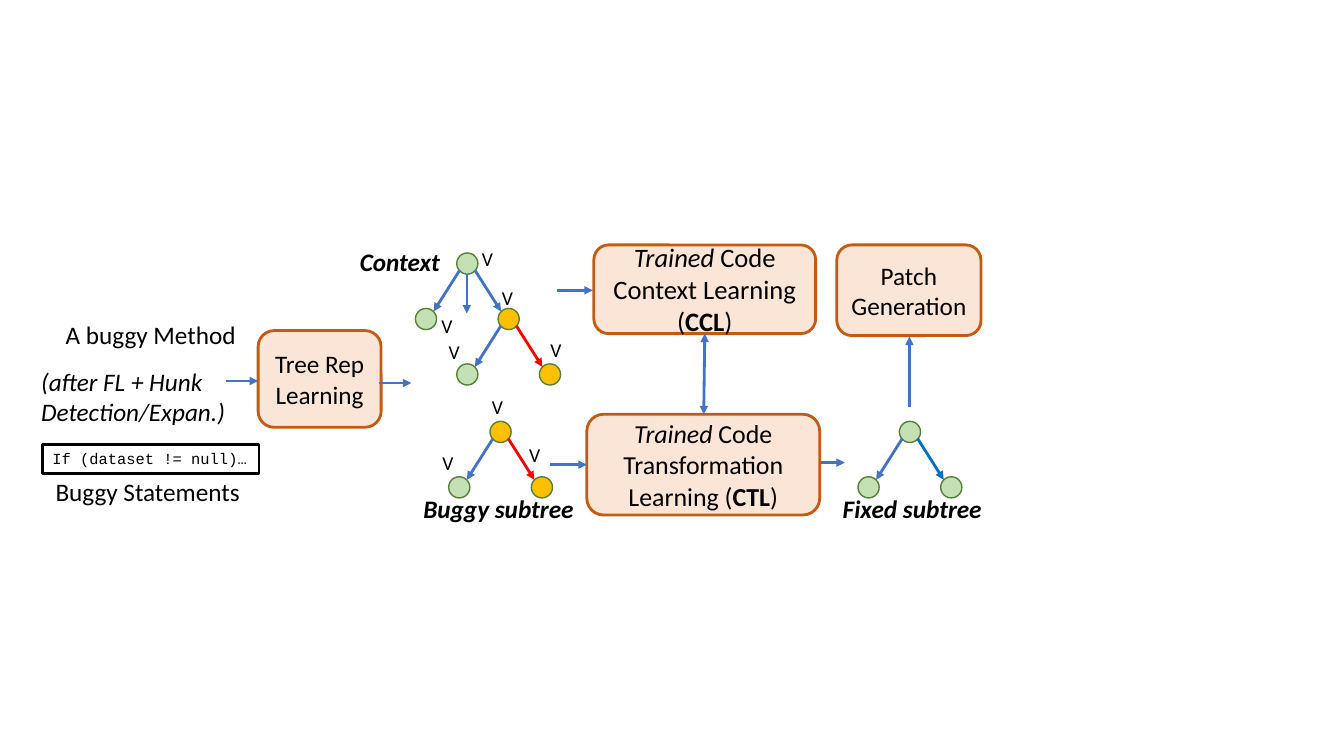
from pptx import Presentation
from pptx import util as u
from pptx.dml import color
from pptx.enum import shapes, text
from pptx.oxml import ns
from lxml import etree

BLUE, RED, BLACK = "4472C4", "FF0000", "000000"
GREEN, GOLD = "C5E0B4", "FFC000"
KIND = shapes.MSO_SHAPE
LEFT, MID = text.PP_ALIGN.LEFT, text.PP_ALIGN.CENTER


def paint(fmt, hue):
    """Set a solid colour on a fill."""
    fmt.solid()
    fmt.fore_color.rgb = color.RGBColor.from_string(hue)


def write(shape, paras, size, align=LEFT, font="Calibri"):
    """Fill a shape with paragraphs, each a list of (words, style) runs."""
    frame = shape.text_frame
    frame.word_wrap = True
    for i, runs in enumerate(paras):
        para = frame.add_paragraph() if i else frame.paragraphs[0]
        para.alignment = align
        for words, style in runs:
            run = para.add_run()
            run.text = words
            run.font.name, run.font.size = font, u.Pt(size)
            run.font.bold, run.font.italic = "b" in style, "i" in style
            paint(run.font.fill, BLACK)


def label(slide, area, lines, style="", size=18, align=LEFT):
    """Add a text box with one style for all its lines."""
    box = slide.shapes.add_textbox(*map(u.Inches, area))
    write(box, [[(line, style)] for line in lines], size, align)


def form(slide, kind, area, fill, edge, width):
    """Add a preset shape without a shadow."""
    shape = slide.shapes.add_shape(kind, *map(u.Inches, area))
    shape.shadow.inherit = False
    if fill:
        paint(shape.fill, fill)
    else:
        shape.fill.background()
    paint(shape.line.fill, edge)
    shape.line.width = u.Pt(width)
    return shape


def stage(slide, area, paras, size=18):
    """Add a rounded box for one processing stage."""
    box = form(slide, KIND.ROUNDED_RECTANGLE, area, "FBE5D6", "C55A11", 2)
    box.text_frame.vertical_anchor = text.MSO_ANCHOR.MIDDLE
    write(box, paras, size, MID)


def arrow(slide, x1, y1, x2, y2, hue=BLUE, width=2, ends=("tailEnd",)):
    """Add a straight arrow."""
    ends_at = map(u.Inches, (x1, y1, x2, y2))
    line = slide.shapes.add_connector(shapes.MSO_CONNECTOR.STRAIGHT, *ends_at)
    paint(line.line.fill, hue)
    line.line.width = u.Pt(width)
    props = line.line._get_or_add_ln()
    for end in ends:
        etree.SubElement(props, ns.qn("a:" + end), type="triangle")
    etree.SubElement(line._element.spPr, ns.qn("a:effectLst"))


def node(slide, x, y, fill):
    """Add a tree node."""
    form(slide, KIND.OVAL, (x, y, 0.21, 0.21), fill, "548235", 1)


def branch(slide, x, y, right, hue):
    """Add two children and their edges below the node at x, y."""
    node(slide, x - 0.41, y + 0.55, GREEN)
    node(slide, x + 0.41, y + 0.55, right)
    arrow(slide, x + 0.03, y + 0.17, x - 0.23, y + 0.58)
    arrow(slide, x + 0.18, y + 0.17, x + 0.44, y + 0.58, hue)


def main():
    """Build the slide."""
    deck = Presentation()
    deck.slide_width, deck.slide_height = u.Inches(13.33), u.Inches(7.5)
    slide = deck.slides.add_slide(deck.slide_layouts[6])

    for x, y, fill, right, hue in (
        (4.86, 4.18, GOLD, GOLD, RED),
        (4.53, 2.51, GREEN, GOLD, BLUE),
        (8.92, 4.18, GREEN, GREEN, "0070C0"),
    ):
        node(slide, x, y, fill)
        branch(slide, x, y, right, hue)
    branch(slide, 4.94, 3.06, GOLD, RED)
    arrow(slide, 4.63, 2.72, 4.63, 3.11, width=1)

    stage(slide, (2.56, 3.28, 1.22, 0.96), [[("Tree Rep Learning", "")]])
    stage(slide, (8.3, 2.43, 1.43, 0.9), [[("Patch Generation", "")]])
    stage(slide, (5.89, 2.43, 2.2, 0.88), [
        [("Trained", "i"), (" Code Context Learning", "")],
        [("(", ""), ("CCL", "b"), (")", "")],
    ], 19)
    stage(slide, (5.82, 4.11, 2.31, 1), [
        [("Trained", "i"), (" Code Transformation Learning (", ""),
         ("CTL", "b"), (")", "")],
    ], 18.5)

    for ends in (
        (2.24, 3.78, 2.56, 3.78),
        (3.76, 3.8, 4.08, 3.8),
        (5.52, 2.88, 5.88, 2.88),
        (5.46, 4.61, 5.82, 4.61),
        (8.14, 4.59, 8.38, 4.59),
        (9.02, 4.04, 9.02, 3.34),
    ):
        arrow(slide, *ends)
    arrow(slide, 6.99, 3.31, 6.98, 4.11, ends=("headEnd", "tailEnd"))

    label(slide, (0.34, 3.12, 2.31, 0.4), ["A buggy Method"], align=MID)
    label(slide, (0.31, 3.58, 2.62, 0.71),
          ["(after FL + Hunk", "Detection/Expan.)"], "i")
    code = form(slide, KIND.RECTANGLE, (0.42, 4.41, 2.15, 0.29), None, BLACK, 2)
    code.text_frame.vertical_anchor = text.MSO_ANCHOR.TOP
    write(code, [[("If (dataset != null)…", "")]], 11, font="Courier New")
    label(slide, (0.06, 4.68, 2.81, 0.4), ["Buggy Statements"], align=MID)
    label(slide, (3.47, 2.39, 1.05, 0.4), ["Context"], "bi")
    label(slide, (4.1, 4.84, 1.79, 0.4), ["Buggy subtree"], "bi")
    label(slide, (8.26, 4.84, 1.62, 0.4), ["Fixed subtree"], "bi")
    for x, y in (
        (4.68, 2.4), (4.28, 3.07), (4.88, 2.79), (4.35, 3.32),
        (5.36, 3.3), (4.78, 3.87), (4.29, 4.42), (5.15, 4.34),
    ):
        label(slide, (x, y, 0.55, 0.34), ["V"], size=14)

    deck.save("out.pptx")


if __name__ == "__main__":
    main()
